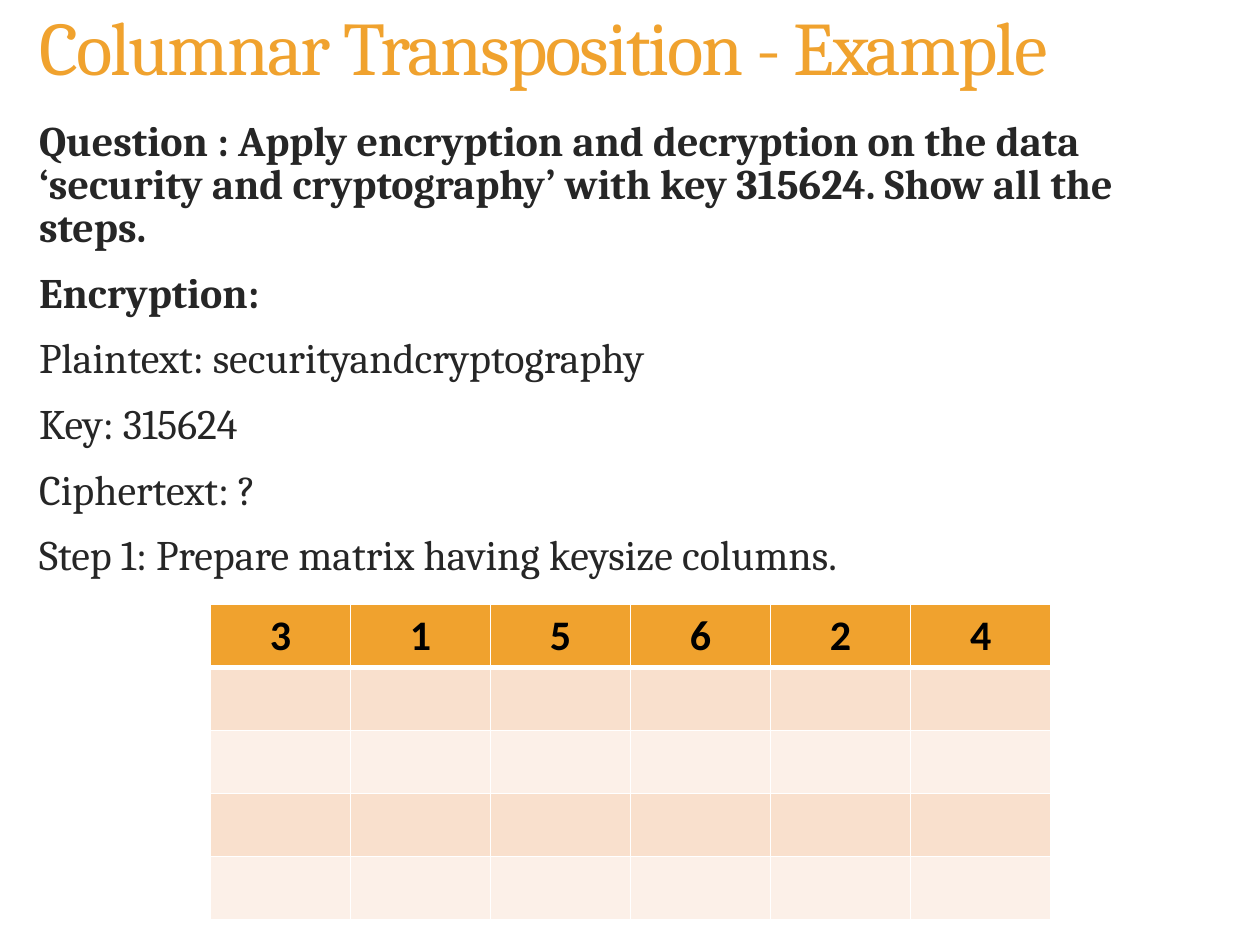
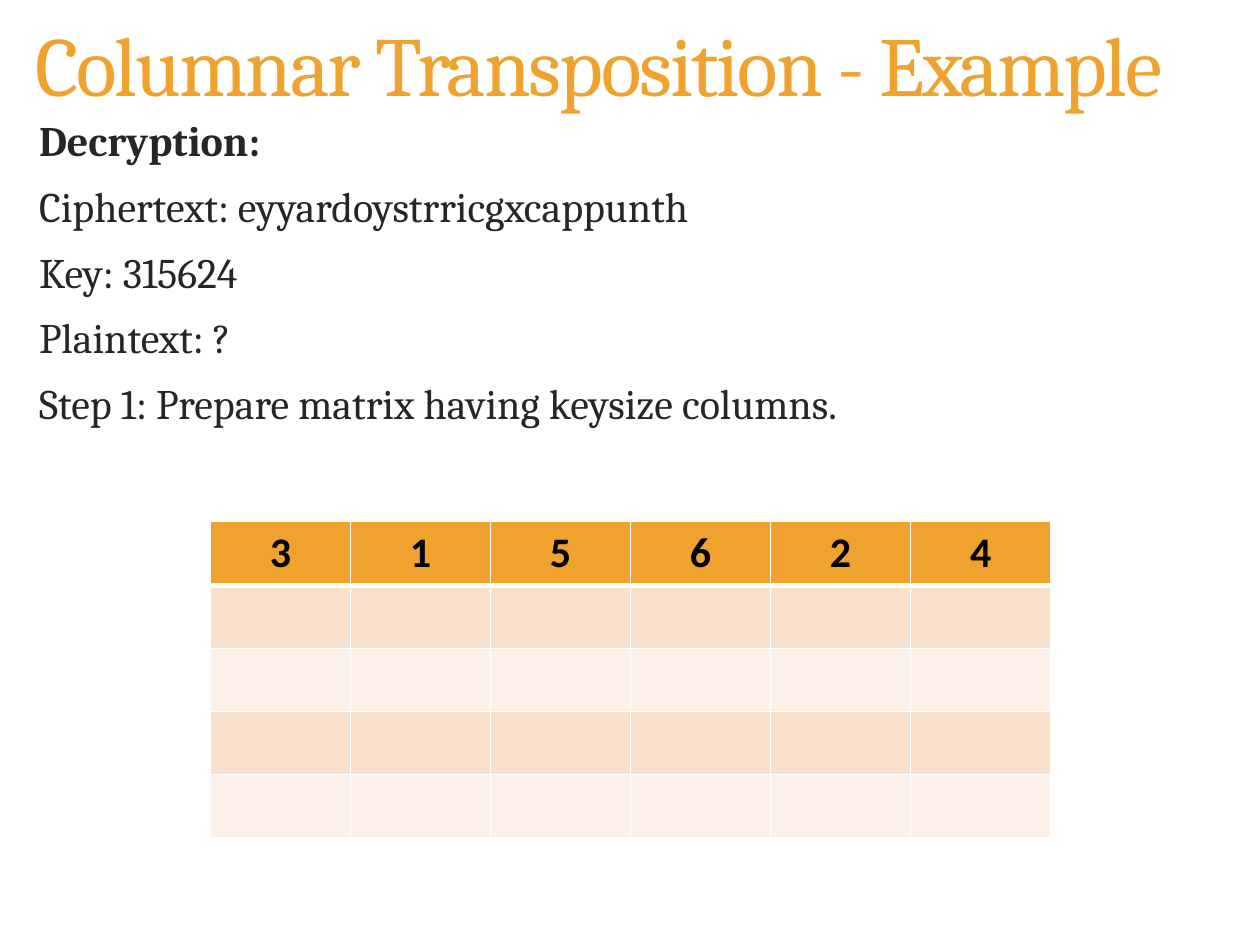
from lxml import etree
from pptx import Presentation
from pptx import util as u
from pptx.dml.color import RGBColor
from pptx.enum import text
from pptx.oxml import ns

WIDTH, HEIGHT = u.Inches(10), u.Inches(7.5)
AMBER = RGBColor(0xF0, 0xA2, 0x2E)
INK = RGBColor(0x26, 0x26, 0x26)
BLACK = RGBColor(0, 0, 0)
WHITE = RGBColor(0xFF, 0xFF, 0xFF)
PEACH = RGBColor(0xF9, 0xE0, 0xCD)
CREAM = RGBColor(0xFC, 0xF0, 0xE8)
SERIF, SANS = "Cambria", "Calibri"

HEADING = "Columnar Transposition - Example"
KEY = "315624"
MATRIX_ROWS = 5
STEP = "Step 1: Prepare matrix having keysize columns."
BODY_BOX = (0.021, 0.123, 0.958, 0.8)
MATRIX_LEFT, MATRIX_WIDTH, MATRIX_HEIGHT = 0.167, 0.667, 1 / 3


def scaled(box):
    left, top, width, height = box
    return [int(share * side) for share, side in
            zip((left, top, width, height), (WIDTH, HEIGHT) * 2)]


def place(holder, box, anchor):
    holder.left, holder.top, holder.width, holder.height = scaled(box)
    frame = holder.text_frame
    frame.word_wrap = True
    frame.auto_size = text.MSO_AUTO_SIZE.NONE
    frame.vertical_anchor = anchor
    return frame


def write(paragraph, words, size=24, font=SERIF, color=INK, bold=False,
          align=text.PP_ALIGN.LEFT, leading=None, before=0, tracking=None):
    paragraph.alignment = align
    paragraph.space_before = u.Pt(before)
    if leading:
        paragraph.line_spacing = leading
    run = paragraph.add_run()
    run.text = words
    run.font.size = u.Pt(size)
    run.font.name = font
    run.font.bold = bold
    run.font.color.rgb = color
    if tracking:
        run.font._element.set("spc", str(int(tracking * 100)))


def remove_bullet(paragraph):
    properties = paragraph._p.get_or_add_pPr()
    properties.set("marL", "0")
    properties.set("indent", "0")
    etree.SubElement(properties, ns.qn("a:buNone"))


def add_heading(slide, box, size):
    frame = place(slide.shapes.title, box, text.MSO_ANCHOR.MIDDLE)
    write(frame.paragraphs[0], HEADING, size=size, color=AMBER,
          leading=0.9, tracking=-1.2)


def add_exercise(slide, box, bold_lines, plain_lines):
    frame = place(slide.placeholders[1], box, text.MSO_ANCHOR.TOP)
    for index, line in enumerate(bold_lines + plain_lines):
        paragraph = frame.add_paragraph() if index else frame.paragraphs[0]
        write(paragraph, line, bold=index < len(bold_lines),
              leading=0.85, before=13)
        remove_bullet(paragraph)


def draw_border(cell, side, points):
    line = etree.SubElement(cell._tc.get_or_add_tcPr(), ns.qn(f"a:ln{side}"),
                            w=str(u.Pt(points)))
    fill = etree.SubElement(line, ns.qn("a:solidFill"))
    etree.SubElement(fill, ns.qn("a:srgbClr"), val=str(WHITE))


def add_matrix(slide, box):
    matrix = slide.shapes.add_table(MATRIX_ROWS, len(KEY), *scaled(box)).table
    for row in range(MATRIX_ROWS):
        for column, digit in enumerate(KEY):
            cell = matrix.cell(row, column)
            heavy = {0: "B", 1: "T"}.get(row)
            for side in "LRTB":
                draw_border(cell, side, 3 if side == heavy else 1)
            cell.fill.solid()
            if row:
                cell.fill.fore_color.rgb = PEACH if row % 2 else CREAM
            else:
                cell.fill.fore_color.rgb = AMBER
                write(cell.text_frame.paragraphs[0], digit, font=SANS,
                      color=BLACK, bold=True, align=text.PP_ALIGN.CENTER)


def add_example(deck, heading_box, heading_size, matrix_top, bold_lines, plain_lines):
    slide = deck.slides.add_slide(deck.slide_layouts[1])
    add_heading(slide, heading_box, heading_size)
    add_exercise(slide, BODY_BOX, bold_lines, plain_lines + [STEP])
    add_matrix(slide, (MATRIX_LEFT, matrix_top, MATRIX_WIDTH, MATRIX_HEIGHT))


def main():
    deck = Presentation()
    deck.slide_width, deck.slide_height = WIDTH, HEIGHT
    add_example(
        deck, (0.021, 0.001, 0.958, 0.105), 43.2, 0.639,
        ["Question : Apply encryption and decryption on the data "
         "‘security and cryptography’ with key 315624. Show all the steps.",
         "Encryption:"],
        ["Plaintext: securityandcryptography", f"Key: {KEY}", "Ciphertext: ?"])
    add_example(
        deck, (0.018, -0.007, 0.982, 0.16), 48, 0.552,
        ["Decryption:"],
        ["Ciphertext: eyyardoystrricgxcappunth", f"Key: {KEY}", "Plaintext: ?"])
    deck.save("out.pptx")


if __name__ == "__main__":
    main()
